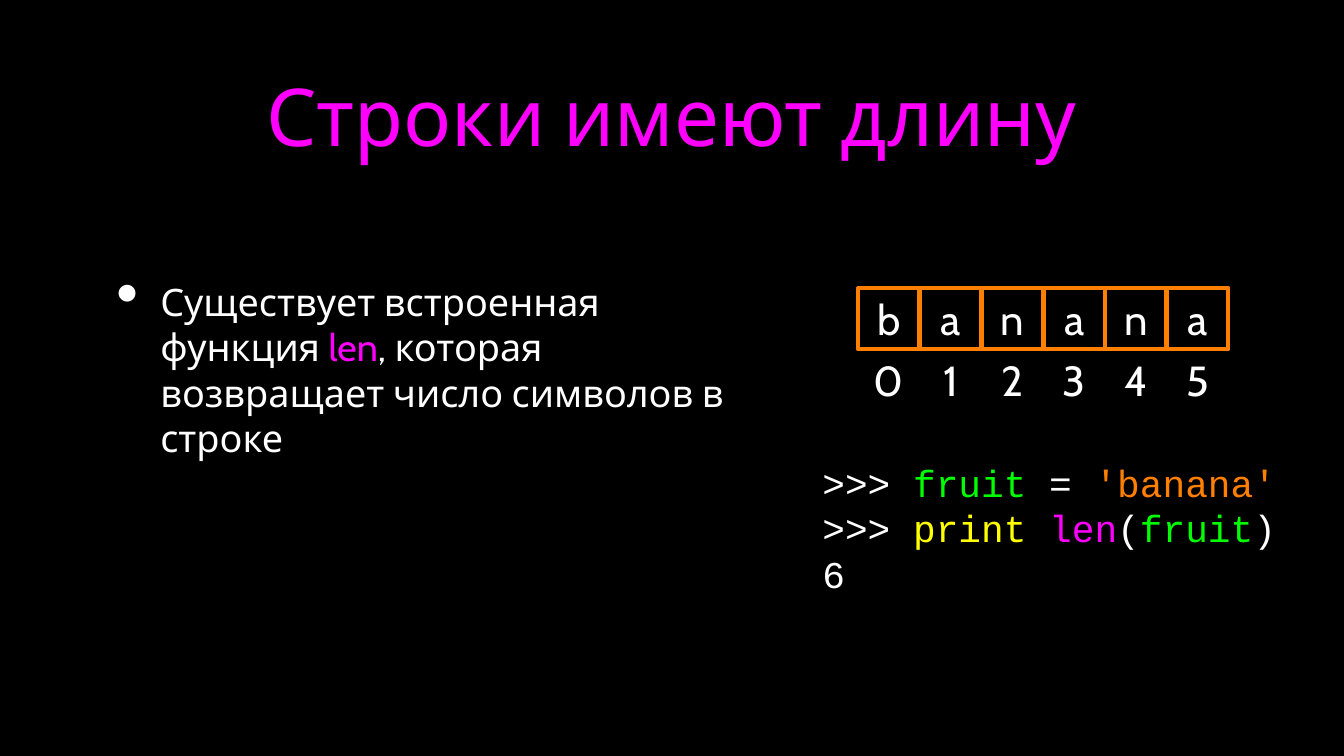
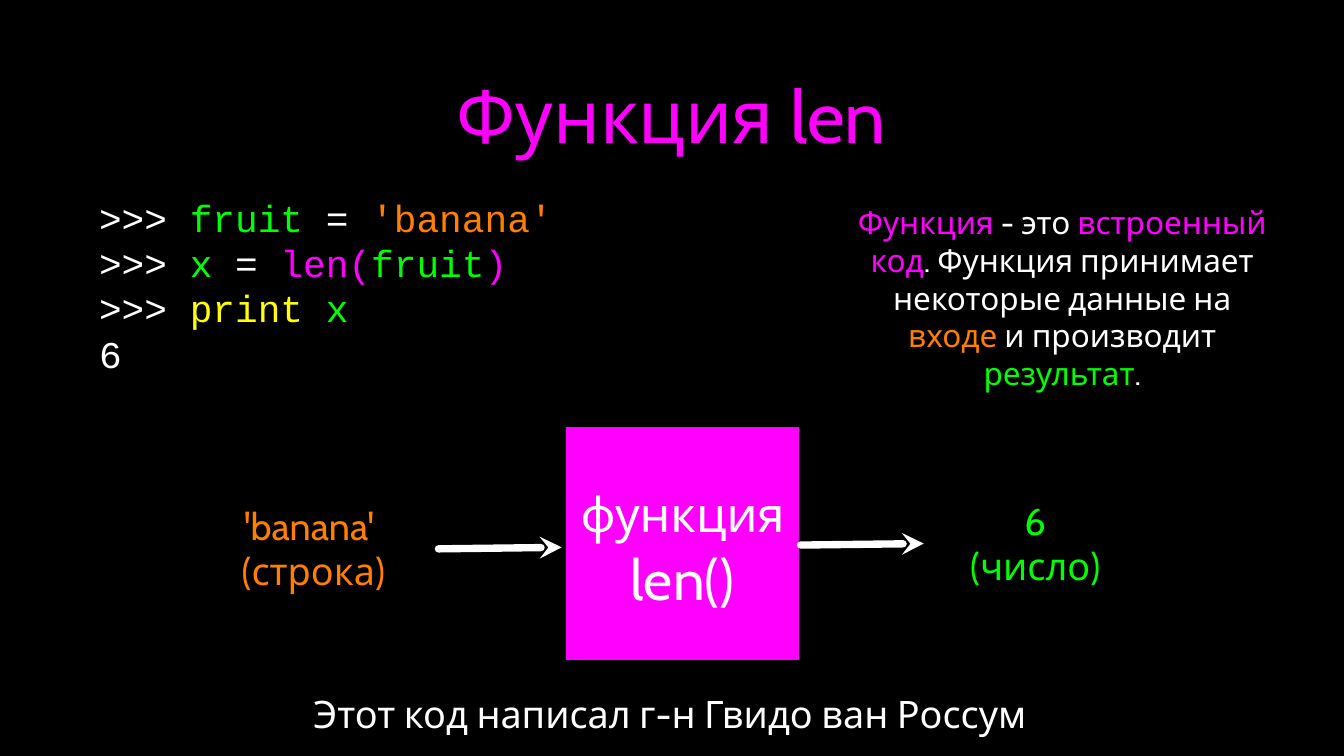
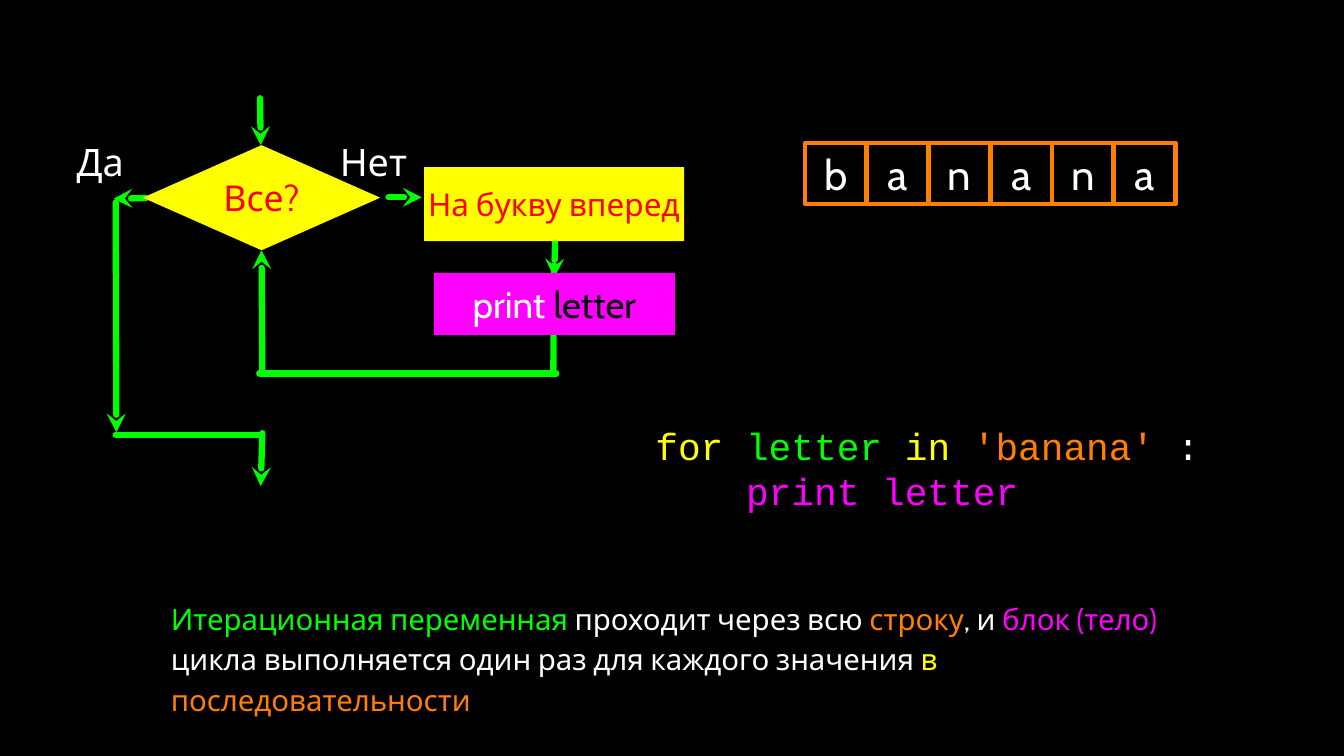
from lxml import etree
from pptx import Presentation
from pptx.dml.color import RGBColor
from pptx.enum.shapes import MSO_CONNECTOR, MSO_SHAPE
from pptx.enum.text import MSO_ANCHOR, PP_ALIGN
from pptx.oxml.ns import qn
from pptx.util import Inches, Pt

STRAIGHT = MSO_CONNECTOR.STRAIGHT
RECTANGLE, DIAMOND = MSO_SHAPE.RECTANGLE, MSO_SHAPE.DIAMOND
MIDDLE = MSO_ANCHOR.MIDDLE
LEFT, CENTER = PP_ALIGN.LEFT, PP_ALIGN.CENTER

WIDTH, HEIGHT = Inches(17.78), Inches(10)
COLORS = {
    "black": "000000", "white": "FFFFFF", "magenta": "FF00FF",
    "green": "00FF00", "orange": "FF7F00", "yellow": "FFFF00", "red": "FF0000",
}
TEXT_FONT, CODE_FONT = "Cabin", "Courier New"
WORD = "banana"
CELL_WIDTH, CELL_HEIGHT, CELL_PITCH = 4.56, 8.1, 4.6
CODE_INDENT = Inches(1.2)  # four characters of code

# Lines of code and text are lists of (words, colour) pieces
PROMPT = (">>> ", "white")


def color(name):
    return RGBColor.from_string(COLORS[name])


def across(share):
    """Percent of the slide width."""
    return round(WIDTH * share / 100)


def down(share):
    """Percent of the slide height."""
    return round(HEIGHT * share / 100)


def place(box):
    left, top, width, height = box
    return across(left), down(top), across(width), down(height)


def add_slide(presentation):
    slide = presentation.slides.add_slide(presentation.slide_layouts[6])
    slide.background.fill.solid()
    slide.background.fill.fore_color.rgb = color("black")
    return slide


def write(shape, lines, size, font=TEXT_FONT, align=CENTER, inset=0):
    """Fill a shape with paragraphs made of coloured pieces."""
    frame = shape.text_frame
    frame.word_wrap = True
    frame.vertical_anchor = MIDDLE
    frame.margin_left = frame.margin_right = Inches(inset)
    frame.margin_top = frame.margin_bottom = Inches(inset)
    for number, pieces in enumerate(lines):
        paragraph = frame.add_paragraph() if number else frame.paragraphs[0]
        paragraph.alignment = align
        for words, tint in pieces:
            run = paragraph.add_run()
            run.text = words
            run.font.name, run.font.size = font, Pt(size)
            run.font.color.rgb = color(tint)
    return frame.paragraphs


def add_text(slide, box, lines, size=36, **style):
    return write(slide.shapes.add_textbox(*place(box)), lines, size, **style)


def add_title(slide, words, size):
    add_text(slide, (7.09, 2.6, 85.71, 25.1), [[(words, "magenta")]], size, inset=0.04)


def add_code(slide, box, lines):
    return add_text(slide, box, lines, font=CODE_FONT, align=LEFT)


def add_block(slide, box, pieces, size, fill=None, outline=None, kind=RECTANGLE):
    shape = slide.shapes.add_shape(kind, *place(box))
    shape.shadow.inherit = False
    if fill:
        shape.fill.solid()
        shape.fill.fore_color.rgb = color(fill)
    else:
        shape.fill.background()
    if outline:
        shape.line.color.rgb = color(outline)
        shape.line.width = Pt(4)
    else:
        shape.line.fill.background()
    return write(shape, [pieces], size)


def add_line(slide, start, end, tint="green", width=6, arrow=True):
    """Draw a round-ended line; an arrow points at its end."""
    line = slide.shapes.add_connector(
        STRAIGHT, across(start[0]), down(start[1]), across(end[0]), down(end[1]))
    line.line.color.rgb = color(tint)
    line.line.width = Pt(width)
    outline = line.line._get_or_add_ln()
    outline.set("cap", "rnd")
    if arrow:
        etree.SubElement(outline, qn("a:tailEnd"), type="stealth")
    etree.SubElement(line._element.spPr, qn("a:effectLst"))


def add_bullet(paragraph):
    properties = paragraph._p.get_or_add_pPr()
    properties.set("marL", str(Inches(0.82)))
    properties.set("indent", str(Inches(-0.58)))
    tint = etree.SubElement(properties, qn("a:buClr"))
    etree.SubElement(tint, qn("a:srgbClr"), val=COLORS["white"])
    etree.SubElement(properties, qn("a:buSzPct"), val="171000")
    etree.SubElement(properties, qn("a:buChar"), char="•")


def add_word(slide, left, top, numbered=False):
    """Put each letter of the word in a cell, with its index below if asked."""
    for index, letter in enumerate(WORD):
        cell_left = left + index * CELL_PITCH
        if numbered:
            below = (cell_left, top + CELL_HEIGHT, CELL_WIDTH, CELL_HEIGHT)
            add_text(slide, below, [[(str(index), "white")]], 40)
        cell = (cell_left, top, CELL_WIDTH, CELL_HEIGHT)
        add_block(slide, cell, [(letter, "white")], 40, outline="orange")


def build_length_slide(presentation):
    slide = add_slide(presentation)
    add_title(slide, "Строки имеют длину", 76)
    body = add_text(slide, (7.09, 28.5, 47.13, 40.7), [[
        ("Существует встроенная функция ", "white"), ("len", "magenta"),
        (", которая возвращает число символов в строке", "white")]],
        align=LEFT, inset=0.04)
    add_bullet(body[0])
    add_code(slide, (61.19, 60.7, 38.81, 18.2), [
        [PROMPT, ("fruit", "green"), (" = ", "white"), ("'banana'", "orange")],
        [PROMPT, ("print ", "yellow"), ("len", "magenta"), ("(", "white"),
         ("fruit", "green"), (")", "white")],
        [("6", "white")]])
    add_word(slide, 63.84, 38.1, numbered=True)


def build_function_slide(presentation):
    slide = add_slide(presentation)
    add_title(slide, "Функция len", 70)
    add_code(slide, (7.37, 25.6, 34.7, 24.2), [
        [PROMPT, ("fruit ", "green"), ("=", "white"), (" 'banana'", "orange")],
        [PROMPT, ("x ", "green"), ("= ", "white"), ("len(", "magenta"),
         ("fruit", "green"), (")", "magenta")],
        [PROMPT, ("print ", "yellow"), ("x", "green")],
        [("6", "white")]])

    # Input, function and result
    function = add_block(slide, (42.13, 56.5, 17.32, 30.8),
                         [("функция", "white"), (" len()", "white")], 46, fill="magenta")
    function[0].runs[1].font.size = Pt(54)
    add_line(slide, (32.62, 72.6), (41.79, 72.4), "white", 7)
    add_line(slide, (59.56, 72.1), (68.73, 71.9), "white", 7)
    add_text(slide, (16.65, 66.4, 13.33, 12.1),
             [[("'banana' ", "orange")], [("(строка)", "orange")]])
    add_text(slide, (70.36, 65.6, 13.33, 12.5), [[("6", "green")], [("(число)", "green")]])

    # Explanations
    add_text(slide, (63.27, 27.4, 31.55, 23.9), [[
        ("Функция ", "magenta"), ("- это ", "white"), ("встроенный код", "magenta"),
        (". Функция принимает некоторые данные на ", "white"), ("входе ", "orange"),
        ("и производит ", "white"), ("результат", "green"), (".", "white")]], 30)
    add_text(slide, (16.03, 91, 67.66, 6.8),
             [[("Этот код написал г-н Гвидо ван Россум", "white")]])


def build_loop_slide(presentation):
    slide = add_slide(presentation)

    # Flowchart lines: arrows, then plain joints
    for start, end in [
        ((19.35, 13), (19.4, 19.2)),        # into the question
        ((19.52, 49.4), (19.46, 33.1)),     # back to the question
        ((41.34, 29.7), (41.23, 36.7)),     # next letter to print
        ((10.85, 26.2), (8.44, 26.3)),      # yes
        ((8.61, 26.8), (8.66, 57.2)),       # down the exit side
        ((19.52, 57.3), (19.4, 64.3)),      # out of the loop
        ((28.91, 26.1), (31.38, 26.1)),     # no
    ]:
        add_line(slide, start, end)
    for start, end in [
        ((41.23, 35.1), (41.17, 49.5)),
        ((19.29, 49.4), (41.39, 49.4)),
        ((8.61, 57.5), (19.4, 57.5)),
    ]:
        add_line(slide, start, end, arrow=False)

    # Flowchart blocks and labels
    add_block(slide, (10.63, 19.2, 17.66, 13.9), [("Все?", "red")], 34,
              fill="yellow", kind=DIAMOND)
    add_block(slide, (32.28, 36.1, 17.94, 8.2),
              [("print ", "white"), ("letter", "black")], 35, fill="magenta")
    add_block(slide, (31.55, 22.1, 19.35, 9.8), [("На букву вперед", "red")], 30,
              fill="yellow")
    add_text(slide, (5.23, 17.9, 4.44, 6.8), [[("Да", "white")]])
    add_text(slide, (24.86, 17.9, 5.85, 6.8), [[("Нет", "white")]])

    # Word, code and explanation
    add_word(slide, 59.9, 18.9)
    code = add_code(slide, (48.76, 55.6, 40.83, 12.5), [
        [("for ", "yellow"), ("letter ", "green"), ("in ", "yellow"),
         ("'banana' ", "orange"), (":", "white")],
        [("print letter", "magenta")]])
    code[1]._p.get_or_add_pPr().set("marL", str(CODE_INDENT))
    explanation = add_text(slide, (12.71, 80.6, 76.55, 12.5), [[
        ("Итерационная переменная ", "green"), ("проходит через всю ", "white"),
        ("строку", "orange"), (", и ", "white"), ("блок (тело)", "magenta"),
        (" цикла выполняется один раз для каждого значения ", "white"),
        ("в ", "yellow"), ("последовательности", "orange")]], 28, align=LEFT)
    explanation[0].line_spacing = 1.15


def main():
    presentation = Presentation()
    presentation.slide_width, presentation.slide_height = WIDTH, HEIGHT
    build_length_slide(presentation)
    build_function_slide(presentation)
    build_loop_slide(presentation)
    presentation.save("out.pptx")


if __name__ == "__main__":
    main()
